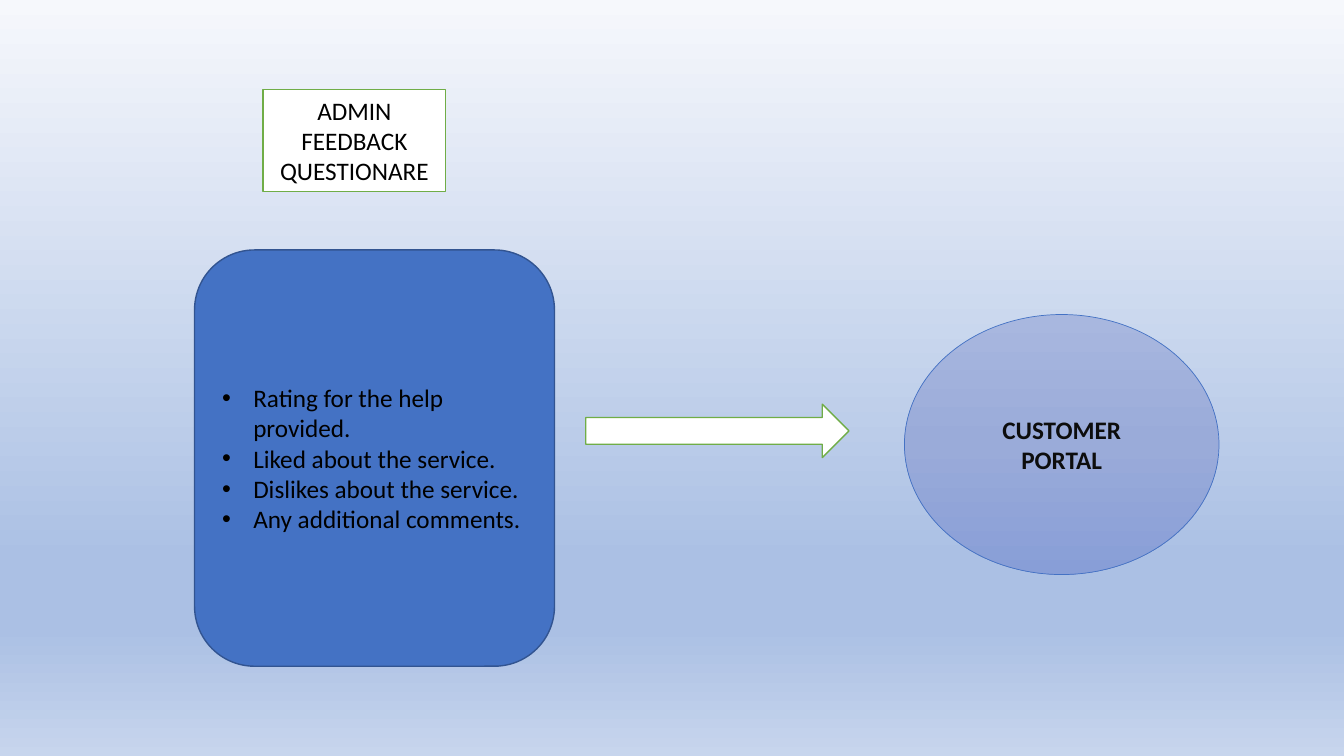
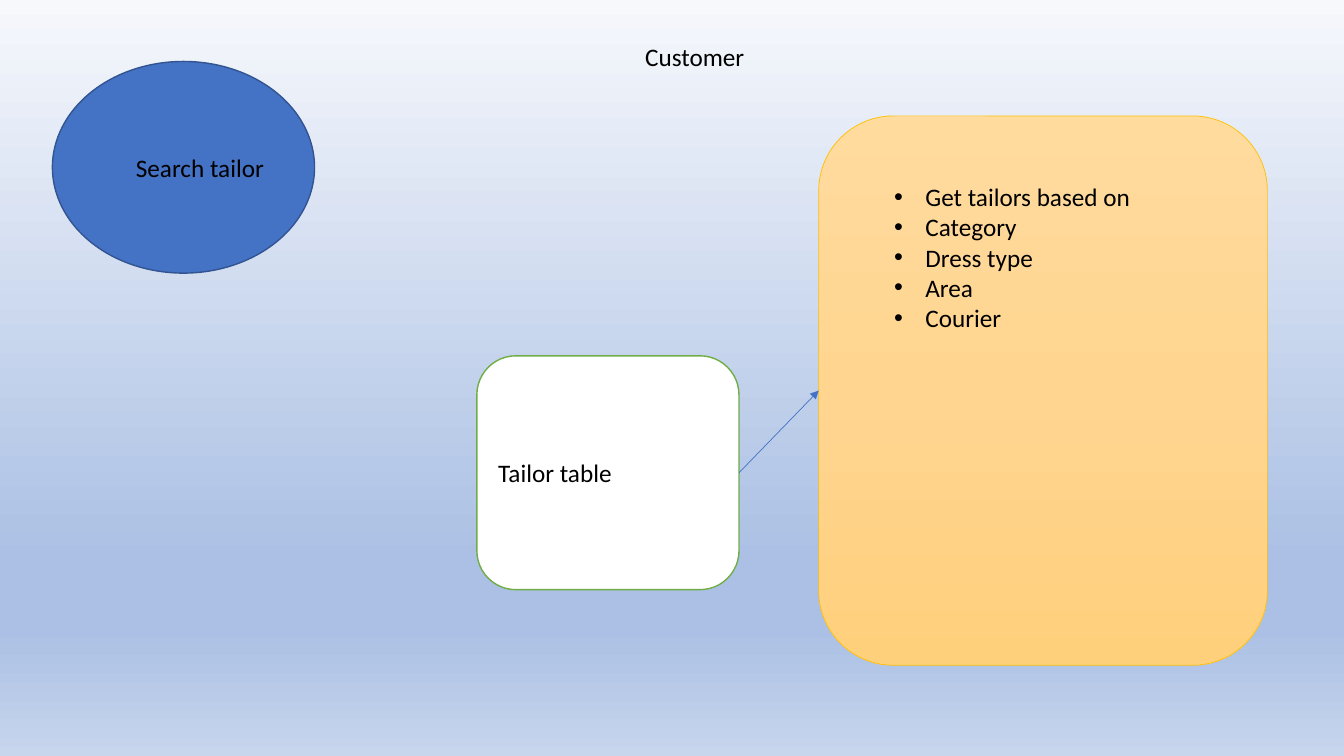
from lxml.etree import SubElement
from pptx import Presentation
from pptx.dml.color import RGBColor
from pptx.enum.shapes import MSO_CONNECTOR, MSO_SHAPE
from pptx.enum.text import MSO_ANCHOR, MSO_AUTO_SIZE, PP_ALIGN
from pptx.oxml.ns import qn
from pptx.util import Pt

PX = 9144  # EMU, 100 px to the inch
FONT = "Calibri"
TEXT_SIZE = 18
BULLET_INDENT = 31
LEFT, RIGHT = 1, 3

COLORS = {
    "black": "000000",
    "ink": "0D0D0D",
    "white": "FFFFFF",
    "blue": "4472C4",
    "navy": "325491",
    "green": "70AD47",
    "gold": "FFC000",
}
GRADIENTS = {
    "sky": [(0, "F6F8FC"), (74, "ABC0E4"), (83, "ABC0E4"), (100, "C7D5ED")],
    "periwinkle": [(0, "A8B7DF"), (50, "9AABD9"), (100, "889ED7")],
    "amber": [(0, "FFDB9E"), (50, "FFD590"), (100, "FFD07C")],
}


def rgb(name):
    return RGBColor.from_string(COLORS[name])


def px(*lengths):
    return [length * PX for length in lengths]


def fill_gradient(fill, element, name):
    """Fill from top to bottom; element is the XML that holds the fill."""
    fill.gradient()
    fill.gradient_angle = 270
    stops = element.find(".//" + qn("a:gsLst"))
    for stop in list(stops):
        stops.remove(stop)
    for percent, color in GRADIENTS[name]:
        stop = SubElement(stops, qn("a:gs"), pos=str(percent * 1000))
        SubElement(stop, qn("a:srgbClr"), val=color)


class DiagramDeck:
    """Holds the shared style and the slide being drawn."""

    def __init__(self):
        self.deck = Presentation()
        self.deck.slide_width, self.deck.slide_height = px(1333, 750)
        self.page = None

    def new_page(self):
        self.page = self.deck.slides.add_slide(self.deck.slide_layouts[6])
        fill_gradient(self.page.background.fill, self.page.element, "sky")

    def add_text(self, box, lines, color="black", align=PP_ALIGN.LEFT,
                 bold=False, bullets=False):
        frame = box.text_frame
        frame.word_wrap = True
        for index, line in enumerate(lines):
            para = frame.add_paragraph() if index else frame.paragraphs[0]
            para.alignment = align
            if bullets:
                self.add_bullet(para)
            span = para.add_run()
            span.text = line
            span.font.name = FONT
            span.font.size = Pt(TEXT_SIZE)
            span.font.bold = bold
            span.font.color.rgb = rgb(color)

    def add_bullet(self, para):
        props = para._p.get_or_add_pPr()
        props.set("marL", str(BULLET_INDENT * PX))
        props.set("indent", str(-BULLET_INDENT * PX))
        SubElement(props, qn("a:buFont"), typeface="Arial")
        SubElement(props, qn("a:buChar"), char="•")

    def shape(self, kind, at, fill, line, line_width=1.0, lines=(), **style):
        shape = self.page.shapes.add_shape(kind, *px(*at))
        shape.shadow.inherit = False
        if fill in GRADIENTS:
            fill_gradient(shape.fill, shape.element, fill)
        else:
            shape.fill.solid()
            shape.fill.fore_color.rgb = rgb(fill)
        shape.line.color.rgb = rgb(line)
        shape.line.width = Pt(line_width)
        shape.text_frame.vertical_anchor = MSO_ANCHOR.MIDDLE
        self.add_text(shape, lines, **style)
        return shape

    def label(self, at, lines, **style):
        box = self.page.shapes.add_textbox(*px(*at))
        self.add_text(box, lines, **style)
        box.text_frame.auto_size = MSO_AUTO_SIZE.SHAPE_TO_FIT_TEXT

    def arrow(self, source, source_side, target, target_side):
        arrow = self.page.shapes.add_connector(MSO_CONNECTOR.STRAIGHT, 0, 0, 0, 0)
        arrow.begin_connect(source, source_side)
        arrow.end_connect(target, target_side)
        arrow.line.color.rgb = rgb("blue")
        arrow.line.width = Pt(0.5)
        props = arrow.element.spPr
        SubElement(props.find(qn("a:ln")), qn("a:tailEnd"), type="triangle")
        SubElement(props, qn("a:effectLst"))


def draw_feedback(diagram):
    diagram.new_page()
    diagram.shape(
        MSO_SHAPE.ROUNDED_RECTANGLE, (193, 248, 357, 413), "blue", "navy",
        lines=["Rating for the help provided.", "Liked about the service.",
               "Dislikes about the service.", "Any additional comments."],
        bullets=True)
    diagram.shape(MSO_SHAPE.RIGHT_ARROW, (581, 401, 261, 53), "white", "green")
    diagram.shape(
        MSO_SHAPE.OVAL, (897, 312, 312, 258), "periwinkle", "blue", 0.5,
        lines=["CUSTOMER", "PORTAL"], color="ink", bold=True,
        align=PP_ALIGN.CENTER)
    diagram.shape(
        MSO_SHAPE.RECTANGLE, (261, 89, 181, 101), "white", "green",
        lines=["ADMIN FEEDBACK QUESTIONARE"], align=PP_ALIGN.CENTER)


def draw_tailor_search(diagram):
    diagram.new_page()
    diagram.label((630, 36, 149, 40), ["Customer"])
    diagram.shape(MSO_SHAPE.OVAL, (52, 61, 260, 210), "blue", "navy")
    diagram.label((125, 146, 150, 40), ["Search tailor"])
    criteria = diagram.shape(
        MSO_SHAPE.ROUNDED_RECTANGLE, (812, 115, 445, 545), "amber", "gold", 0.5)
    diagram.label(
        (877, 175, 288, 192),
        ["Get tailors based on", "Category", "Dress type", "Area", "Courier"],
        bullets=True)
    table = diagram.shape(
        MSO_SHAPE.ROUNDED_RECTANGLE, (473, 353, 260, 232), "white", "green",
        lines=["Tailor table"])
    diagram.arrow(table, RIGHT, criteria, LEFT)


def main():
    diagram = DiagramDeck()
    draw_feedback(diagram)
    draw_tailor_search(diagram)
    diagram.deck.save("out.pptx")


if __name__ == "__main__":
    main()
